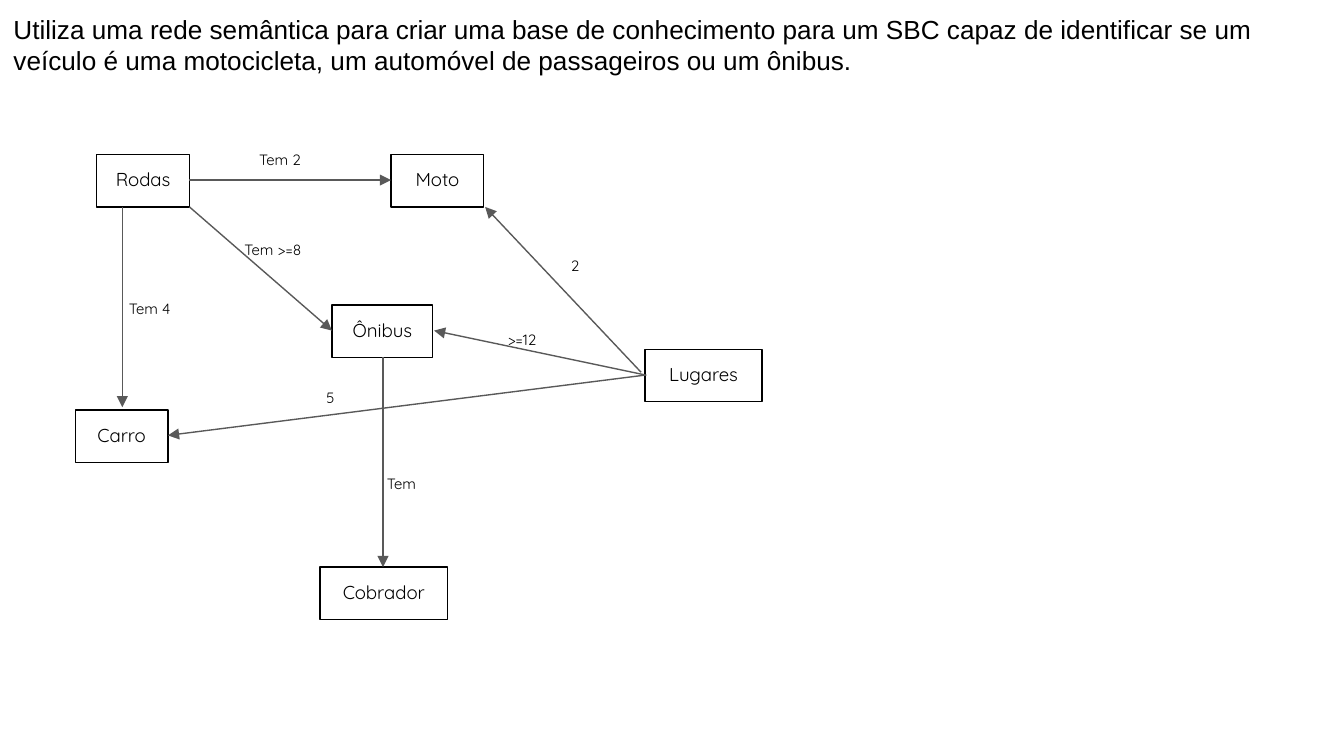
import pptx
import pptx.util
import pptx.dml.color
import pptx.enum.shapes
import pptx.enum.text
import pptx.oxml
import pptx.oxml.ns

Inches, Pt = pptx.util.Inches, pptx.util.Pt
ALIGN = pptx.enum.text.PP_ALIGN

SLIDE_WIDTH = Inches(10)
SLIDE_HEIGHT = SLIDE_WIDTH * 9 // 16

TITLE = (
    "Utiliza uma rede semântica para criar uma base de conhecimento para um SBC "
    "capaz de identificar se um veículo é uma motocicleta, um automóvel de "
    "passageiros ou um ônibus."
)

# Node: left, top, width
NODES = {
    "Moto": (2.91, 1.15, 0.69),
    "Rodas": (0.72, 1.15, 0.69),
    "Carro": (0.56, 3.05, 0.69),
    "Ônibus": (2.47, 2.27, 0.75),
    "Lugares": (4.8, 2.6, 0.87),
    "Cobrador": (2.38, 4.22, 0.95),
}
NODE_HEIGHT = 0.39

# Each end is a node with a point in fractions of its width and height.
# Relation: start, end, label, label box (left, top, width, height)
RELATIONS = [
    (("Rodas", 1, 0.49), ("Moto", 0, 0.49), "Tem 2", (1.83, 1.02, 0.69, 0.32)),
    (("Rodas", 0.27, 1), ("Carro", 0.5, -0.04), "Tem 4", (0.86, 2.13, 0.59, 0.32)),
    (("Rodas", 1, 1), ("Ônibus", 0, 0.5), "Tem >=8", (1.72, 1.69, 0.75, 0.32)),
    (("Lugares", -0.03, 0.44), ("Moto", 1.01, 1), "2", (4.15, 1.81, 0.25, 0.32)),
    (("Lugares", 0, 0.5), ("Ônibus", 1.01, 0.5), ">=12", (3.68, 2.36, 0.53, 0.32)),
    (("Lugares", 0.01, 0.5), ("Carro", 1, 0.5), "5", (2.33, 2.79, 0.25, 0.32)),
    (("Ônibus", 0.51, 1), ("Cobrador", 0.5, 0), "Tem", (2.78, 3.43, 0.53, 0.39)),
]

THEME = {
    "ink": pptx.dml.color.RGBColor.from_string("000000"),
    "arrow": pptx.dml.color.RGBColor.from_string("595959"),
    "line": Pt(0.75),
    "title": {"name": "Arial", "size": Pt(14)},
    "node": {"name": "Quicksand", "size": Pt(10)},
    "label": {"name": "Quicksand", "size": Pt(8)},
}


def write(box, text, style, align=ALIGN.LEFT):
    frame = box.text_frame
    margins = {f"margin_{side}": Inches(0.1) for side in ("left", "top", "right", "bottom")}
    settings = {
        "word_wrap": True,
        "auto_size": pptx.enum.text.MSO_AUTO_SIZE.NONE,
        "vertical_anchor": pptx.enum.text.MSO_ANCHOR.TOP,
        **margins,
    }
    for name, value in settings.items():
        setattr(frame, name, value)
    para = frame.paragraphs[0]
    para.alignment = align
    span = para.add_run()
    span.text = text
    for name, value in THEME[style].items():
        setattr(span.font, name, value)
    span.font.color.rgb = THEME["ink"]


def add_title(page):
    title = page.shapes.title
    place = {"left": 0, "top": 0, "width": SLIDE_WIDTH, "height": Inches(0.68)}
    for name, value in place.items():
        setattr(title, name, value)
    write(title, TITLE, "title")


def add_node(page, name):
    left, top, width = NODES[name]
    box = page.shapes.add_shape(
        pptx.enum.shapes.MSO_SHAPE.RECTANGLE,
        Inches(left), Inches(top), Inches(width), Inches(NODE_HEIGHT),
    )
    box.shadow.inherit = False
    box.fill.background()
    box.line.color.rgb = THEME["ink"]
    box.line.width = THEME["line"]
    write(box, name, "node", ALIGN.CENTER)


def point_on(name, across, down):
    left, top, width = NODES[name]
    return (
        Inches(round(left + across * width, 2)),
        Inches(round(top + down * NODE_HEIGHT, 2)),
    )


def add_relation(page, start, end, label, place):
    arrow = page.shapes.add_connector(
        pptx.enum.shapes.MSO_CONNECTOR.STRAIGHT, *point_on(*start), *point_on(*end)
    )
    arrow.line.color.rgb = THEME["arrow"]
    arrow.line.width = THEME["line"]
    head = pptx.oxml.parse_xml(
        f'<a:tailEnd {pptx.oxml.ns.nsdecls("a")} type="triangle" w="med" len="med"/>'
    )
    arrow.line._get_or_add_ln().append(head)
    no_shadow = pptx.oxml.parse_xml(f'<a:effectLst {pptx.oxml.ns.nsdecls("a")}/>')
    arrow._element.spPr.append(no_shadow)

    box = page.shapes.add_textbox(*map(Inches, place))
    write(box, label, "label")


def main():
    deck = pptx.Presentation()
    deck.slide_width, deck.slide_height = SLIDE_WIDTH, SLIDE_HEIGHT
    page = deck.slides.add_slide(deck.slide_layouts.get_by_name("Title Only"))
    add_title(page)
    for name in NODES:
        add_node(page, name)
    for relation in RELATIONS:
        add_relation(page, *relation)
    deck.save("out.pptx")


if __name__ == "__main__":
    main()
